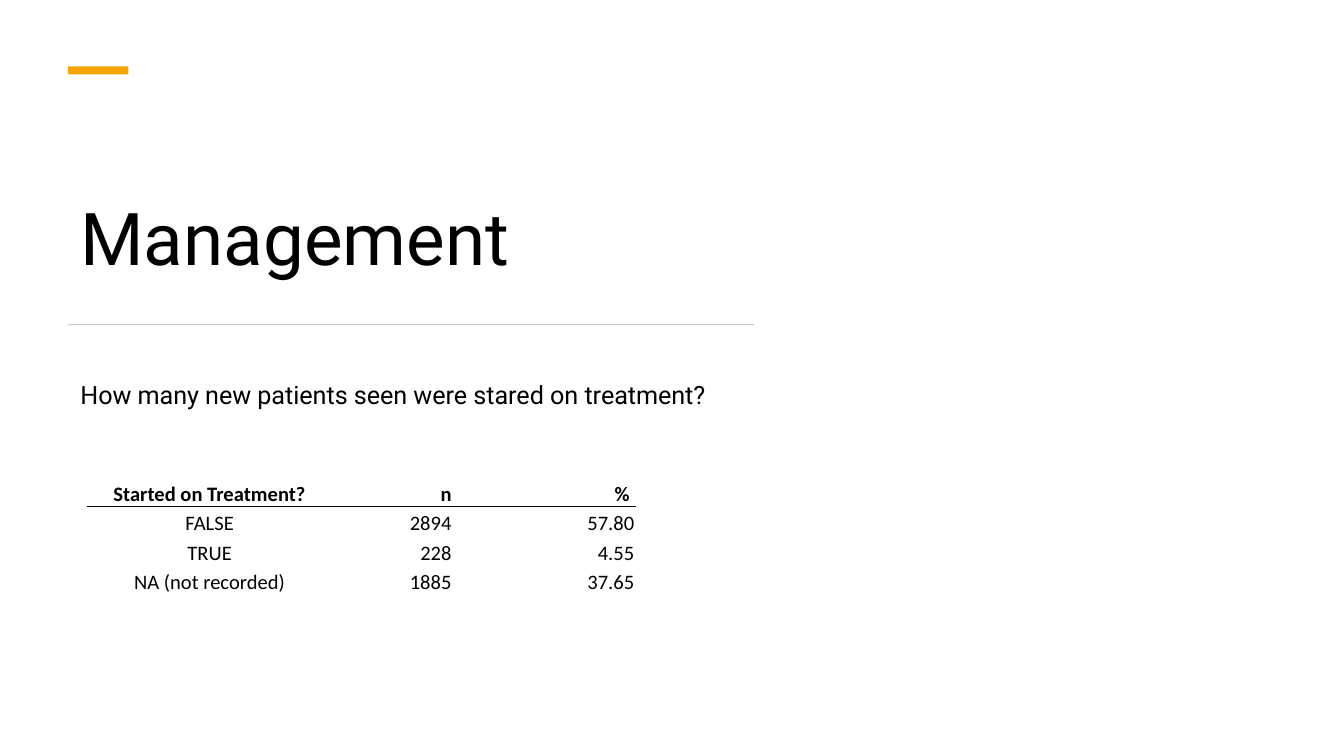
from dataclasses import dataclass

from lxml import etree
from pptx import Presentation
from pptx import util as u
from pptx.dml.color import RGBColor
from pptx.enum import shapes, text
from pptx.oxml import ns


@dataclass(frozen=True)
class Theme:
    ink: str = "000000"
    accent: str = "F5A700"
    rule: str = "C9C9C9"
    heading_font: str = "Roboto"
    table_font: str = "Calibri"
    title_size: float = 39
    question_size: float = 13.5
    table_size: float = 11


class SlideBuilder:
    def __init__(self, slide, theme):
        self.slide = slide
        self.theme = theme

    def style(self, paragraph, font_name, size, bold=False):
        font = paragraph.font
        font.name, font.size, font.bold = font_name, u.Pt(size), bold
        font.color.rgb = RGBColor.from_string(self.theme.ink)

    def bar(self, left, top, width, height, color, rotation=0):
        bar = self.slide.shapes.add_shape(
            shapes.MSO_SHAPE.RECTANGLE, *map(u.Inches, (left, top, width, height)))
        bar.rotation = rotation
        bar.shadow.inherit = False
        bar.fill.solid()
        bar.fill.fore_color.rgb = RGBColor.from_string(color)
        bar.line.fill.background()

    def text(self, wording, left, top, width, height, size, anchor, spacing, before=0):
        frame = self.slide.shapes.add_textbox(
            *map(u.Inches, (left, top, width, height))).text_frame
        frame.word_wrap = True
        frame.vertical_anchor = anchor
        paragraph = frame.paragraphs[0]
        paragraph.text = wording
        paragraph.line_spacing = spacing
        paragraph.space_before = u.Pt(before)
        self.style(paragraph, self.theme.heading_font, size)

    def border(self, cell, side):
        properties = cell._tc.get_or_add_tcPr()
        line = etree.Element(ns.qn(f"a:ln{side}"), w=str(u.Pt(1)))
        fill = etree.SubElement(line, ns.qn("a:solidFill"))
        etree.SubElement(fill, ns.qn("a:srgbClr"), val=self.theme.ink)
        properties.insert(0, line)

    def table(self, rows, left, top, widths, heights):
        table = self.slide.shapes.add_table(
            len(rows), len(widths), u.Inches(left), u.Inches(top),
            u.Inches(sum(widths)), u.Inches(sum(heights))).table
        table.first_row = table.horz_banding = False
        for column, width in zip(table.columns, widths):
            column.width = u.Inches(width)
        for r, (values, height) in enumerate(zip(rows, heights)):
            table.rows[r].height = u.Inches(height)
            for c, value in enumerate(values):
                cell = table.cell(r, c)
                cell.fill.background()
                cell.vertical_anchor = text.MSO_ANCHOR.BOTTOM
                cell.margin_left = cell.margin_right = cell.margin_top = u.Inches(0.01)
                cell.margin_bottom = 0
                paragraph = cell.text_frame.paragraphs[0]
                paragraph.text = value
                paragraph.alignment = text.PP_ALIGN.RIGHT if c else text.PP_ALIGN.CENTER
                self.style(paragraph, self.theme.table_font, self.theme.table_size, r == 0)
                if r < 2:
                    self.border(cell, "T" if r else "B")


def main():
    deck = Presentation()
    deck.slide_width = u.Inches(10)
    deck.slide_height = deck.slide_width * 9 // 16
    theme = Theme()
    builder = SlideBuilder(deck.slides.add_slide(deck.slide_layouts[6]), theme)

    builder.bar(0.7, 0.3, 0.06, 0.45, theme.accent, rotation=90)
    builder.bar(0.51, 2.41, 5.1, 0.01, theme.rule)
    builder.text("Management", 0.5, 0.88, 5.14, 1.26,
                 theme.title_size, text.MSO_ANCHOR.BOTTOM, 0.9)
    builder.text("How many new patients seen were stared on treatment?",
                 0.5, 2.75, 5.14, 2.32,
                 theme.question_size, text.MSO_ANCHOR.TOP, 1.1, before=7.5)

    treatment_counts = [
        ("Started on Treatment?", "n", "% "),
        ("FALSE", "2894", "57.80"),
        ("TRUE", "228", "4.55"),
        ("NA (not recorded)", "1885", "37.65"),
    ]
    builder.table(treatment_counts, 0.65, 3.39, [1.82, 0.9, 1.36], [0.38] + [0.22] * 3)

    deck.save("out.pptx")


if __name__ == "__main__":
    main()
